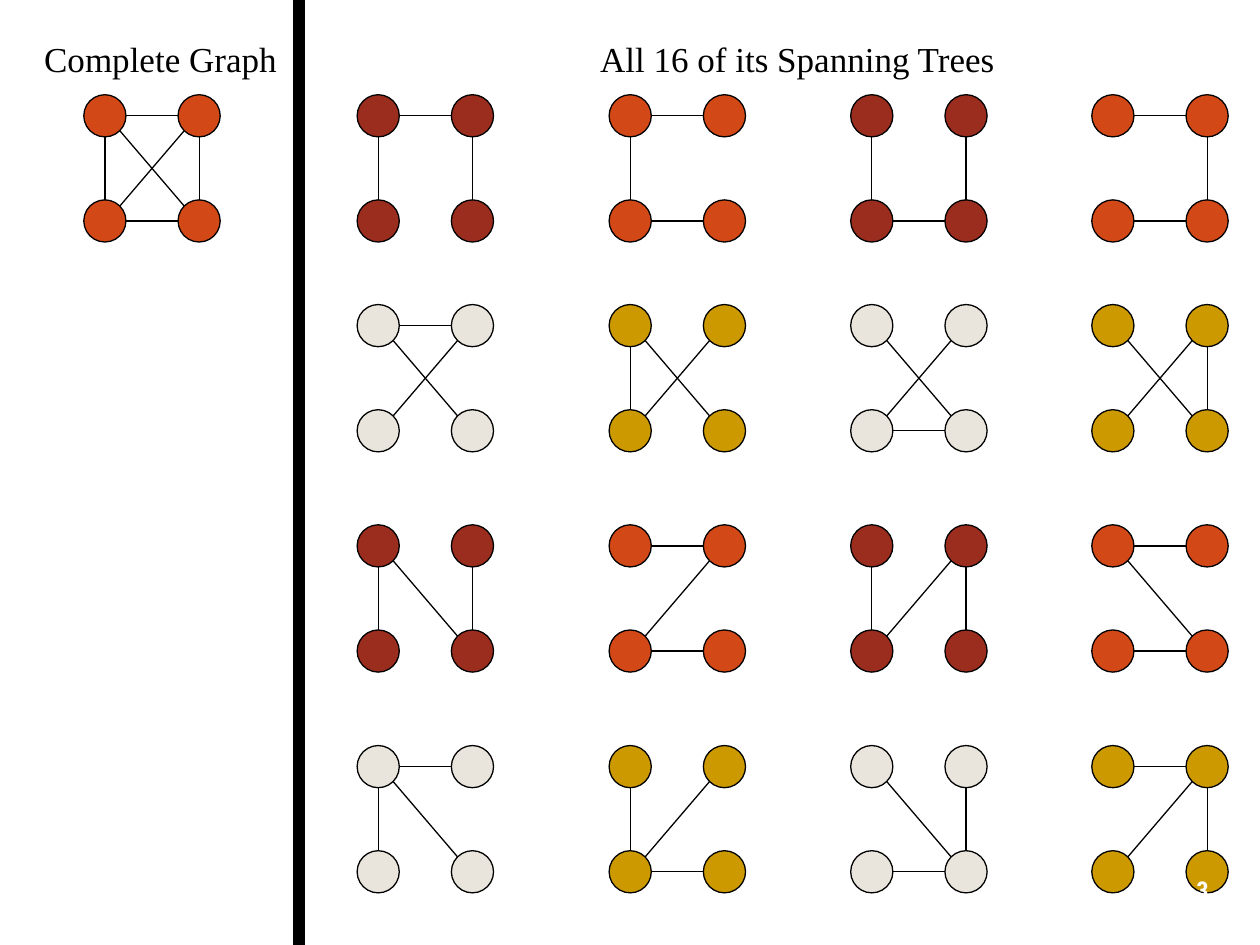
from itertools import product

from pptx import Presentation
from pptx.dml.color import RGBColor
from pptx.enum import shapes, text
from pptx.oxml import parse_xml
from pptx.util import Cm, Pt

BLACK, WHITE = "000000", "FFFFFF"
ORANGE, RED, SAND, GOLD = "D34817", "9B2D1F", "E9E5DC", "CC9900"
NODE, STEP_X, STEP_Y = 0.85, 1.9, 2.12
COLS = [7.2, 12.28, 17.15, 22.01]
ROWS = [1.91, 6.14, 10.58, 15.03]

# Nodes are (column, row). Edges: top, left, right, bottom, down and up diagonals.
EDGES = {
    "T": ((0, 0), (1, 0)),
    "L": ((0, 0), (0, 1)),
    "R": ((1, 0), (1, 1)),
    "B": ((0, 1), (1, 1)),
    "D": ((0, 0), (1, 1)),
    "U": ((1, 0), (0, 1)),
}
TREES = [
    ["TLR", "TLB", "LBR", "TRB"],
    ["TUD", "LUD", "BUD", "RUD"],
    ["LRD", "TBU", "LRU", "TBD"],
    ["TLD", "LBU", "BRD", "TRU"],
]
COLORS = [[RED, ORANGE], [SAND, GOLD]]
NS = "http://schemas.openxmlformats.org/drawingml/2006/main"


def rgb(code):
    return RGBColor.from_string(code)


def add_form(slide, kind, box, fill=None, line=BLACK, width=0.75):
    form = slide.shapes.add_shape(kind, *map(Cm, box))
    form.shadow.inherit = False
    if fill:
        form.fill.solid()
        form.fill.fore_color.rgb = rgb(fill)
    else:
        form.fill.background()
    form.line.color.rgb = rgb(line)
    form.line.width = Pt(width)


def add_text(slide, words, box, font, size, color=BLACK, bold=False):
    frame = slide.shapes.add_textbox(*map(Cm, box)).text_frame
    frame.word_wrap = True
    frame.text = words
    style = frame.paragraphs[0].runs[0].font
    style.name, style.size, style.bold = font, Pt(size), bold
    style.color.rgb = rgb(color)
    return frame


def add_edge(slide, left, top, start, end):
    """Join the rims of two nodes of the graph at left, top."""
    dx, dy = end[0] - start[0], end[1] - start[1]
    reach = NODE / 2 * (0.71 if dx and dy else 1)

    def rim(node, sign):
        return (Cm(left + node[0] * STEP_X + NODE / 2 + sign * dx * reach),
                Cm(top + node[1] * STEP_Y + NODE / 2 + sign * dy * reach))

    edge = slide.shapes.add_connector(
        shapes.MSO_CONNECTOR.STRAIGHT, *rim(start, 1), *rim(end, -1))
    edge.line.color.rgb = rgb(BLACK)
    edge.line.width = Pt(0.75)
    edge._element.spPr.append(parse_xml(f'<a:effectLst xmlns:a="{NS}"/>'))


def add_graph(slide, left, top, edges, fill):
    for row, col in product(range(2), repeat=2):
        box = (left + col * STEP_X, top + row * STEP_Y, NODE, NODE)
        add_form(slide, shapes.MSO_SHAPE.OVAL, box, fill)
    for name in edges:
        add_edge(slide, left, top, *EDGES[name])


def add_trees(slide):
    for row, col in product(range(4), repeat=2):
        fill = COLORS[row % 2][col % 2]
        add_graph(slide, COLS[col], ROWS[row], TREES[row][col], fill)


def add_number(slide, left, top, width, height):
    frame = add_text(slide, "3", (left, top, width, height),
                     "Roboto Condensed", 14, WHITE, True)
    frame.vertical_anchor = text.MSO_ANCHOR.MIDDLE
    frame.paragraphs[0].alignment = text.PP_ALIGN.CENTER


def main():
    deck = Presentation()
    deck.slide_width, deck.slide_height = Cm(25.4), Cm(19.05)
    slide = deck.slides.add_slide(deck.slide_layouts[6])

    add_form(slide, shapes.MSO_SHAPE.OVAL, (23.83, 17.37, 0.84, 1.12),
             line=WHITE, width=1)
    add_graph(slide, 1.69, ROWS[0], "TLBRUD", ORANGE)
    add_trees(slide)
    serif = "Times New Roman"
    add_text(slide, "Complete Graph", (0.64, 0.64, 5.29, 1.1), serif, 20)
    add_text(slide, "All 16 of its Spanning Trees", (11.85, 0.64, 8.89, 1.1), serif, 20)
    add_form(slide, shapes.MSO_SHAPE.RECTANGLE, (5.93, 0, 0.21, 19.05), BLACK)
    add_number(slide, 23.57, 17.42, 1.35, 1.02)
    deck.save("out.pptx")


if __name__ == "__main__":
    main()
